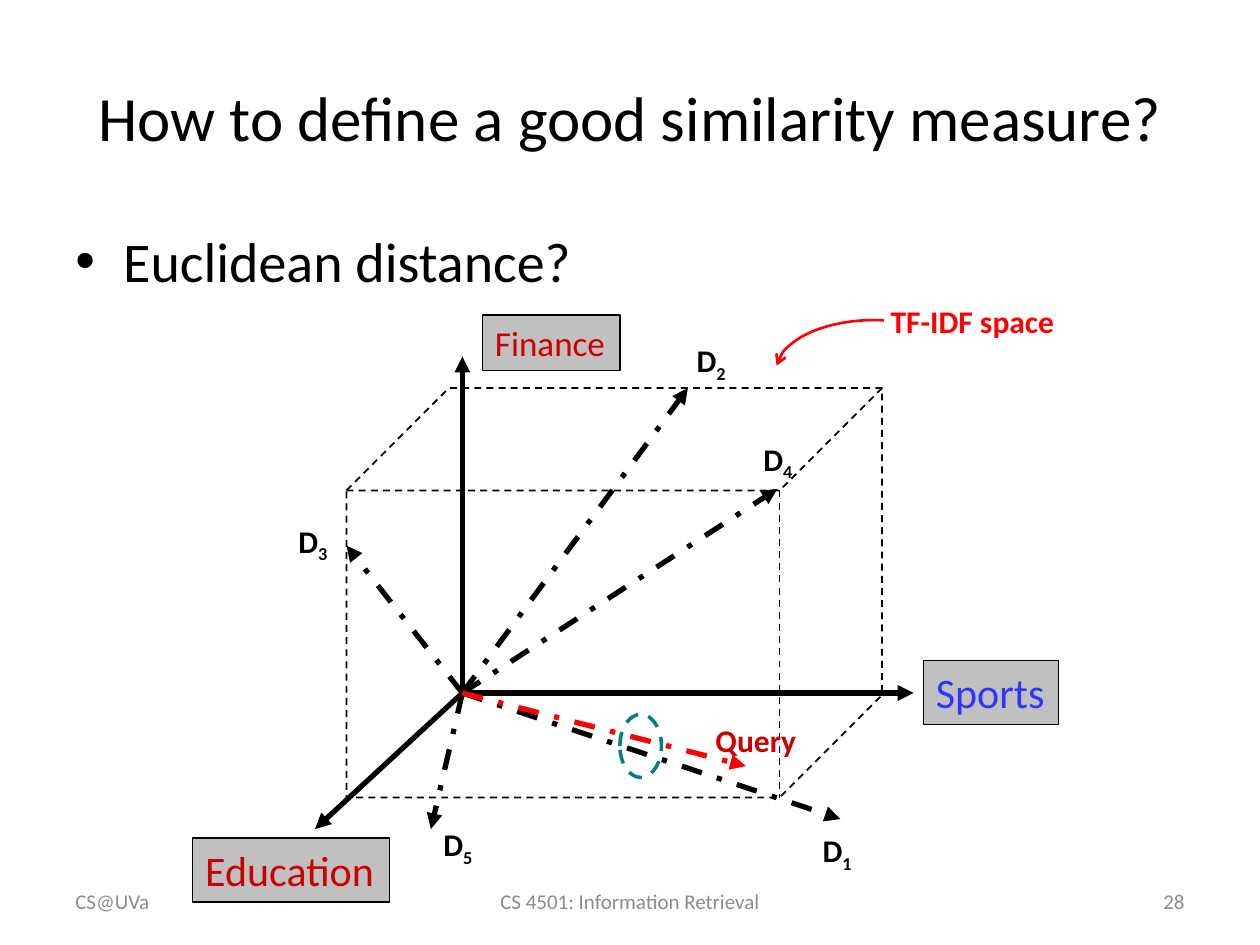
from lxml import etree
from pptx import Presentation
from pptx.dml.color import RGBColor
from pptx.enum.dml import MSO_LINE
from pptx.enum.shapes import MSO_CONNECTOR, MSO_SHAPE
from pptx.enum.text import MSO_ANCHOR, PP_ALIGN
from pptx.oxml.ns import qn
from pptx.util import Inches, Pt

STRAIGHT = MSO_CONNECTOR.STRAIGHT
ARC, CUBE, OVAL, RECT = MSO_SHAPE.ARC, MSO_SHAPE.CUBE, MSO_SHAPE.OVAL, MSO_SHAPE.RECTANGLE
DASH, DASH_DOT = MSO_LINE.DASH, MSO_LINE.DASH_DOT
TOP, MIDDLE = MSO_ANCHOR.TOP, MSO_ANCHOR.MIDDLE
LEFT, CENTER, RIGHT = PP_ALIGN.LEFT, PP_ALIGN.CENTER, PP_ALIGN.RIGHT

FONT = "Calibri"
BLACK, RED, CRIMSON, BLUE = "000000", "FF0000", "CC0000", "3333FF"
SILVER, TEAL, GRAY = "C0C0C0", "008080", "8C8C8C"
ORIGIN = (2.17, 3.0)
AXIS_TIPS = [(1, 4.08), (5.75, 3), (2.17, 0.33)]
AXIS_LABELS = [
    ("Sports", (5.83, 2.74, 1.07, 0.51), 24, BLUE),
    ("Education", (0.03, 4.15, 1.56, 0.51), 24, CRIMSON),
    ("Finance", (2.33, 0, 1.09, 0.44), 20, CRIMSON),
]
VECTORS = [
    ("D", "4", (4.67, 1.38), (4.46, 0.94), BLACK, BLACK),
    ("D", "5", (1.92, 4.08), (1.92, 4), BLACK, BLACK),
    ("D", "2", (3.96, 0.58), (3.93, 0.16), BLACK, BLACK),
    ("D", "1", (5.17, 4), (4.93, 4.05), BLACK, BLACK),
    ("D", "3", (1.25, 1.83), (0.77, 1.59), BLACK, BLACK),
    ("Query", "", (4.42, 3.58), (4.08, 3.17), RED, CRIMSON),
]


def rgb(color):
    """Turn a hex string into a colour."""
    return RGBColor.from_string(color)


def inches(values):
    """Turn numbers into lengths."""
    return [Inches(v) for v in values]


def shift(box, part):
    """Move a part's position by the corner of its box."""
    return (box[0] + part[0], box[1] + part[1], *part[2:])


def write(sp, text, size, color, sub="", bold=False, align=LEFT, anchor=TOP, wrap=True):
    """Write one paragraph with an optional subscript and return it."""
    tf = sp.text_frame
    for name, value in {"word_wrap": wrap, "vertical_anchor": anchor}.items():
        setattr(tf, name, value)
    p = tf.paragraphs[0]
    p.alignment = align
    for part, base in ((text, None), (sub, "-25000")):
        if not part:
            continue
        r = p.add_run()
        r.text = part
        for name, value in {"name": FONT, "size": Pt(size), "bold": bold}.items():
            setattr(r.font, name, value)
        r.font.color.rgb = rgb(color)
        if base:
            r.font._element.set("baseline", base)
    return p


def add_text(s, box, text, size, color, **fmt):
    """Add a text box and return its paragraph."""
    return write(s.shapes.add_textbox(*inches(box)), text, size, color, **fmt)


def set_line(line, color, width, dash=None):
    """Set the colour, width and dash of a line."""
    line.color.rgb = rgb(color)
    for name, value in {"width": Pt(width), "dash_style": dash}.items():
        setattr(line, name, value)


def add_arrowhead(sp, end, kind):
    """Put an arrowhead on one end of a line."""
    etree.SubElement(sp.line._get_or_add_ln(), qn(f"a:{end}"), type=kind)


def add_shape(s, kind, box, color, width, dash=None, fill=None):
    """Add a preset shape with an outline and an optional fill."""
    sp = s.shapes.add_shape(kind, *inches(box))
    sp.shadow.inherit = False
    if fill:
        sp.fill.solid()
        sp.fill.fore_color.rgb = rgb(fill)
    else:
        sp.fill.background()
    set_line(sp.line, color, width, dash)
    return sp


def add_arrow(s, start, end, color, dash=None):
    """Add a thick straight arrow."""
    sp = s.shapes.add_connector(STRAIGHT, *inches((*start, *end)))
    set_line(sp.line, color, 3, dash)
    add_arrowhead(sp, "tailEnd", "triangle")
    etree.SubElement(sp._element.spPr, qn("a:effectLst"))


def add_title(s, box):
    """Add the slide title."""
    add_text(s, box, "How to define a good similarity measure?", 36, BLACK,
             align=CENTER, anchor=MIDDLE)


def add_body(s, box):
    """Add the bulleted body text."""
    p = add_text(s, box, "Euclidean distance?", 32, BLACK)
    p.space_before = Pt(6.4)
    pPr = p._p.get_or_add_pPr()
    for name, value in {"marL": 0.38, "indent": -0.38}.items():
        pPr.set(name, str(Inches(value)))
    etree.SubElement(pPr, qn("a:buFont"), typeface="Arial")
    etree.SubElement(pPr, qn("a:buChar"), char="•")


def add_axes(s, box):
    """Draw the cube, its axes and the axis labels."""
    sp = add_shape(s, CUBE, shift(box, (1.25, 0.58, 4.25, 3.25)), BLACK, 1, DASH)
    sp.adjustments[0] = 0.25
    for tip in AXIS_TIPS:
        add_arrow(s, shift(box, ORIGIN), shift(box, tip), BLACK)
    for text, part, size, color in AXIS_LABELS:
        sp = add_shape(s, RECT, shift(box, part), BLACK, 0.75, fill=SILVER)
        write(sp, text, size, color, wrap=False)


def add_vectors(s, box):
    """Draw the document and query vectors with their labels."""
    for text, sub, tip, corner, color, label_color in VECTORS:
        add_arrow(s, shift(box, ORIGIN), shift(box, tip), color, DASH_DOT)
        size = (0.47, 0.4) if sub else (0.88, 0.4)
        add_text(s, shift(box, (*corner, *size)), text, 18, label_color,
                 sub=sub, bold=True, wrap=False)
    add_shape(s, OVAL, shift(box, (3.42, 3.17, 0.33, 0.5)), TEAL, 2, DASH)


def add_callout(s, box):
    """Name the space and point at it with a curved arrow."""
    add_text(s, shift(box, (0.81, 0, 2.17, 0.4)), "TF-IDF space", 18, RED, bold=True)
    sp = add_shape(s, ARC, shift(box, (0, 0.19, 1.56, 0.81)), RED, 1.5)
    for i, angle in enumerate((109.908, 168.483)):
        sp.adjustments[i] = angle
    add_arrowhead(sp, "headEnd", "arrow")


def add_footer(s, box):
    """Add the three footer fields across the box."""
    x, y, w, h = box
    fields = [("CS@UVa", 0, 2.33, LEFT),
              ("CS 4501: Information Retrieval", (w - 3.17) / 2, 3.17, CENTER),
              ("28", w - 2.33, 2.33, RIGHT)]
    for text, left, width, align in fields:
        add_text(s, (x + left, y, width, h), text, 12, GRAY, align=align, anchor=MIDDLE)


def main():
    """Build the slide and save it."""
    prs = Presentation()
    prs.slide_width, prs.slide_height = inches((10, 7.5))
    s = prs.slides.add_slide(prs.slide_layouts[6])
    add_title(s, (0.5, 0.3, 9, 1.25))
    add_body(s, (0.5, 1.75, 9, 4.95))
    diagram = (1.5, 2.5)
    add_axes(s, diagram)
    add_vectors(s, diagram)
    add_callout(s, (6.16, 2.35))
    add_footer(s, (0.5, 6.95, 9, 0.4))
    prs.save("out.pptx")


if __name__ == "__main__":
    main()
